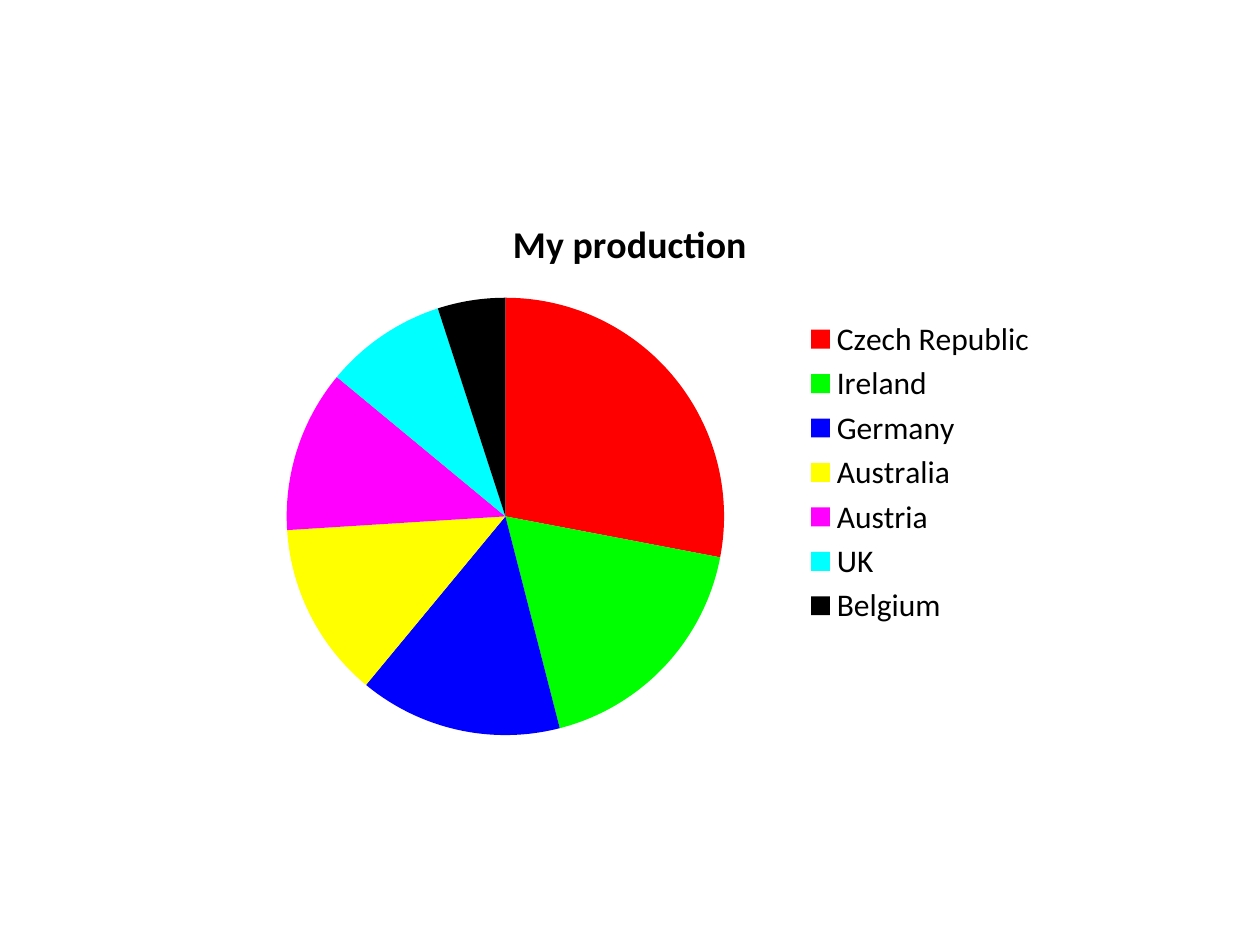
"""Build a slide with a pie chart of production by country."""
from pptx import Presentation, util as u
from pptx.chart.data import CategoryChartData
from pptx.dml.color import RGBColor
from pptx.enum import chart as ch

TITLE = "My production"
SLICES = [
    ("Czech Republic", 28, "FF0000"),
    ("Ireland", 18, "00FF00"),
    ("Germany", 15, "0000FF"),
    ("Australia", 13, "FFFF00"),
    ("Austria", 12, "FF00FF"),
    ("UK", 9, "00FFFF"),
    ("Belgium", 5, "000000"),
]
BODY = {"name": "Calibri", "size": u.Pt(18), "bold": False}
HEAD = {"name": "Calibri", "size": u.Pt(21.6), "bold": True}


def paint(color, code):
    color.rgb = RGBColor.from_string(code)


def style(font, form):
    for key, value in form.items():
        setattr(font, key, value)
    paint(font.color, "000000")


deck = Presentation()
deck.slide_width, deck.slide_height = u.Cm(25.4), u.Cm(19.05)
slide = deck.slides.add_slide(deck.slide_layouts[6])

names, values, codes = zip(*SLICES)
data = CategoryChartData()
data.categories = names
data.add_series("Series 1", values)

wide, high = u.Cm(16.93), u.Cm(11.29)
left, top = (deck.slide_width - wide) // 2, u.Cm(3.88)
pie = slide.shapes.add_chart(
    ch.XL_CHART_TYPE.PIE, left, top, wide, high, data).chart
style(pie.font, BODY)

pie.has_title = True
pie.chart_title.include_in_layout = False
label = pie.chart_title.text_frame
label.text = TITLE
style(label.paragraphs[0].runs[0].font, HEAD)

pie.has_legend = True
pie.legend.position = ch.XL_LEGEND_POSITION.RIGHT
pie.legend.include_in_layout = False

plot = pie.plots[0]
plot.vary_by_categories = True
for num, code in enumerate(codes):
    form = plot.series[0].points[num].format
    form.fill.solid()
    paint(form.fill.fore_color, code)
    form.line.fill.background()

deck.save("out.pptx")
